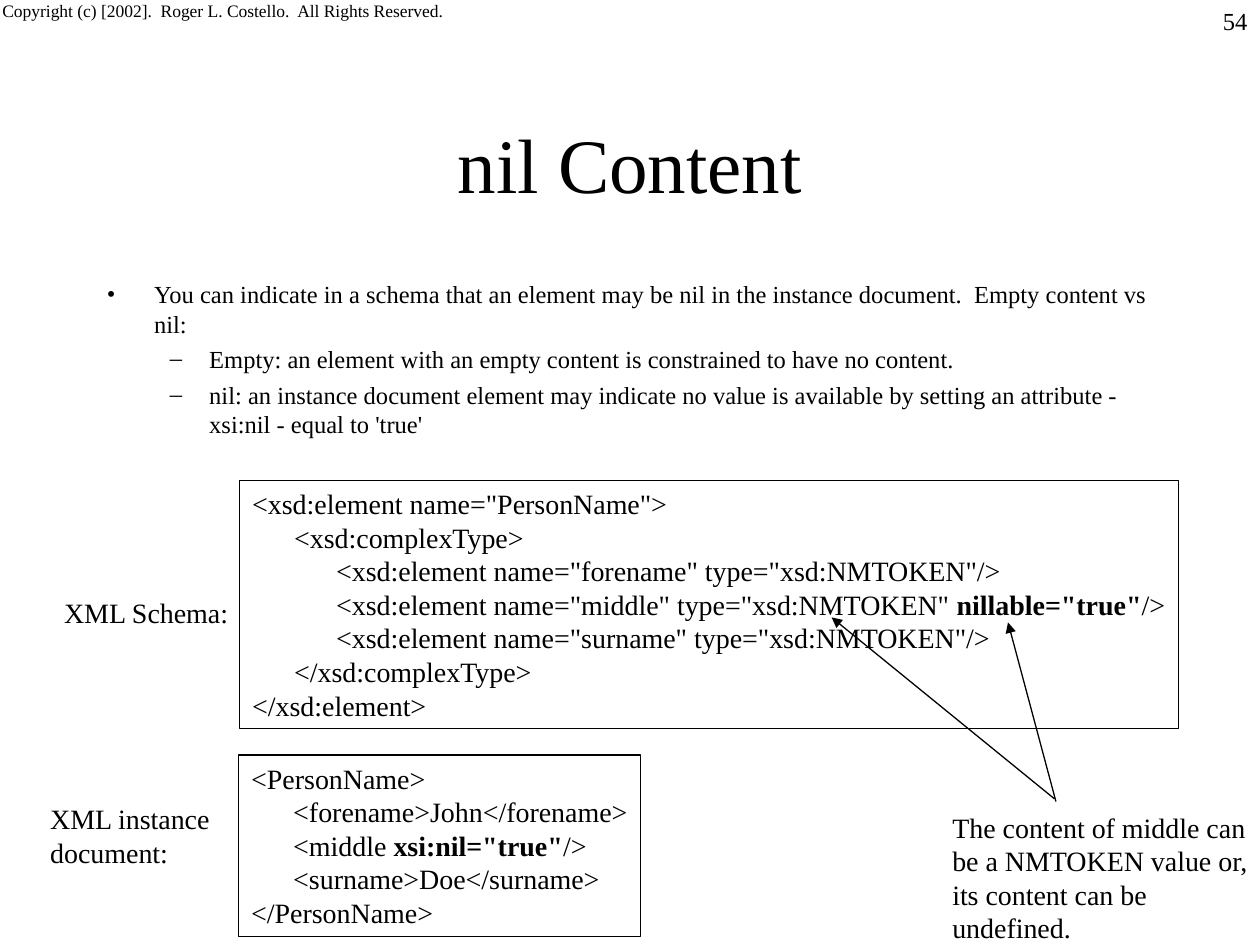
from lxml import etree
from pptx import Presentation
from pptx.dml.color import RGBColor
from pptx.enum.shapes import MSO_CONNECTOR, MSO_SHAPE
from pptx.enum.text import MSO_ANCHOR, MSO_AUTO_SIZE, PP_ALIGN
from pptx.oxml.ns import qn
from pptx.util import Pt

LEFT, CENTER, RIGHT = PP_ALIGN.LEFT, PP_ALIGN.CENTER, PP_ALIGN.RIGHT
TOP, MIDDLE = MSO_ANCHOR.TOP, MSO_ANCHOR.MIDDLE
FIT, FIXED = MSO_AUTO_SIZE.SHAPE_TO_FIT_TEXT, MSO_AUTO_SIZE.NONE
RECTANGLE, STRAIGHT = MSO_SHAPE.RECTANGLE, MSO_CONNECTOR.STRAIGHT
BLACK = "000000"
FONT = "Times New Roman"
CODE_INDENT = 24

SCHEMA = [
    (0, '<xsd:element name="PersonName">'),
    (1, "<xsd:complexType>"),
    (2, '<xsd:element name="forename" type="xsd:NMTOKEN"/>'),
    (2, '<xsd:element name="middle" type="xsd:NMTOKEN" ', 'nillable="true"', "/>"),
    (2, '<xsd:element name="surname" type="xsd:NMTOKEN"/>'),
    (1, "</xsd:complexType>"),
    (0, "</xsd:element>"),
]
INSTANCE = [
    (0, "<PersonName>"),
    (1, "<forename>John</forename>"),
    (1, "<middle ", 'xsi:nil="true"', "/>"),
    (1, "<surname>Doe</surname>"),
    (0, "</PersonName>"),
]
BULLETS = [
    (27, -27, "•", "You can indicate in a schema that an element may be nil in the "
                   "instance document.  Empty content vs nil:"),
    (58.5, -22.5, "–", "Empty: an element with an empty content is constrained to have no content."),
    (58.5, -22.5, "–", "nil: an instance document element may indicate no value is available "
                       "by setting an attribute - xsi:nil - equal to 'true'"),
]


def color(hex_value):
    """Return the colour of a hex string."""
    return RGBColor.from_string(hex_value)


def set_attributes(target, values):
    """Set each named value on the target."""
    for name, value in values.items():
        setattr(target, name, value)


def format_frame(frame, wrap=True, anchor=TOP, inset_top=3.6, inset_right=7.2):
    """Set margins, wrapping and anchor of a text frame."""
    set_attributes(frame, {
        "margin_left": Pt(7.2), "margin_right": Pt(inset_right),
        "margin_top": Pt(inset_top), "margin_bottom": Pt(3.6),
        "word_wrap": wrap, "vertical_anchor": anchor,
        "auto_size": FIXED if wrap else FIT,
    })


def next_paragraph(frame, position):
    """Return the first paragraph or a new one."""
    return frame.add_paragraph() if position else frame.paragraphs[0]


def add_run(paragraph, text, size, bold=False):
    """Add formatted text to a paragraph."""
    run = paragraph.add_run()
    run.text = text
    set_attributes(run.font, {"name": FONT, "size": Pt(size), "bold": bold})
    run.font.color.rgb = color(BLACK)


def add_label(slide, bounds, lines, size=16, align=LEFT, **frame_format):
    """Add a plain text box with one paragraph per line."""
    frame = slide.shapes.add_textbox(*map(Pt, bounds)).text_frame
    format_frame(frame, **frame_format)
    for position, line in enumerate(lines):
        paragraph = next_paragraph(frame, position)
        paragraph.alignment = align
        add_run(paragraph, line, size)


def add_bullets(slide, bounds, bullets):
    """Add a bulleted list with hanging indents."""
    frame = slide.shapes.add_textbox(*map(Pt, bounds)).text_frame
    format_frame(frame)
    for position, (margin, indent, mark, text) in enumerate(bullets):
        paragraph = next_paragraph(frame, position)
        set_attributes(paragraph, {"alignment": LEFT, "space_before": Pt(3.5)})
        properties = paragraph._p.get_or_add_pPr()
        properties.set("marL", str(Pt(margin)))
        properties.set("indent", str(Pt(indent)))
        etree.SubElement(properties, qn("a:buFont")).set("typeface", FONT)
        etree.SubElement(properties, qn("a:buChar")).set("char", mark)
        add_run(paragraph, text, 14)


def add_code(slide, bounds, lines):
    """Add an outlined code box; every second part of a line is bold."""
    box = slide.shapes.add_shape(RECTANGLE, *map(Pt, bounds))
    box.shadow.inherit = False
    box.fill.background()
    box.line.color.rgb = color(BLACK)
    box.line.width = Pt(0.75)
    format_frame(box.text_frame, inset_right=0)
    for position, (depth, *parts) in enumerate(lines):
        paragraph = next_paragraph(box.text_frame, position)
        paragraph.alignment = LEFT
        paragraph._p.get_or_add_pPr().set("marL", str(Pt(depth * CODE_INDENT)))
        for part_number, part in enumerate(parts):
            add_run(paragraph, part, 16, bold=part_number % 2 == 1)


def add_arrow(slide, start, end):
    """Add a thin line with an arrowhead at its end."""
    arrow = slide.shapes.add_connector(STRAIGHT, *map(Pt, start + end))
    arrow.line.color.rgb = color(BLACK)
    arrow.line.width = Pt(0.75)
    etree.SubElement(arrow.line._get_or_add_ln(), qn("a:tailEnd")).set("type", "triangle")
    etree.SubElement(arrow._element.spPr, qn("a:effectLst"))


def main():
    """Build the slide and save it."""
    deck = Presentation()
    deck.slide_width, deck.slide_height = Pt(720), Pt(540)
    slide = deck.slides.add_slide(deck.slide_layouts[6])

    add_label(slide, (-5.76, -18, 273, 36),
              ["Copyright (c) [2002].  Roger L. Costello.  All Rights Reserved."],
              size=10, inset_top=18)
    add_label(slide, (54, 48, 612, 90), ["nil Content"], size=44, align=CENTER, anchor=MIDDLE)
    add_bullets(slide, (54, 156, 612, 110), BULLETS)
    add_code(slide, (137, 274.5, 536.4, 141.8), SCHEMA)
    add_code(slide, (136.5, 431.5, 229.5, 103.7), INSTANCE)
    add_label(slide, (29.5, 337, 108.7, 26.6), ["XML Schema:"], wrap=False)
    add_label(slide, (21.6, 454.5, 105.8, 46), ["XML instance", "document:"], wrap=False)
    add_arrow(slide, (603.4, 458), (576, 355.7))
    add_label(slide, (537.1, 459.5, 184.3, 84.2),
              ["The content of middle can", "be a NMTOKEN value or,",
               "its content can be", "undefined."], wrap=False)
    add_arrow(slide, (602.6, 456.5), (475.2, 352.8))
    add_label(slide, (570, 0, 150, 36), ["54"], size=14, align=RIGHT)

    deck.save("out.pptx")


if __name__ == "__main__":
    main()
